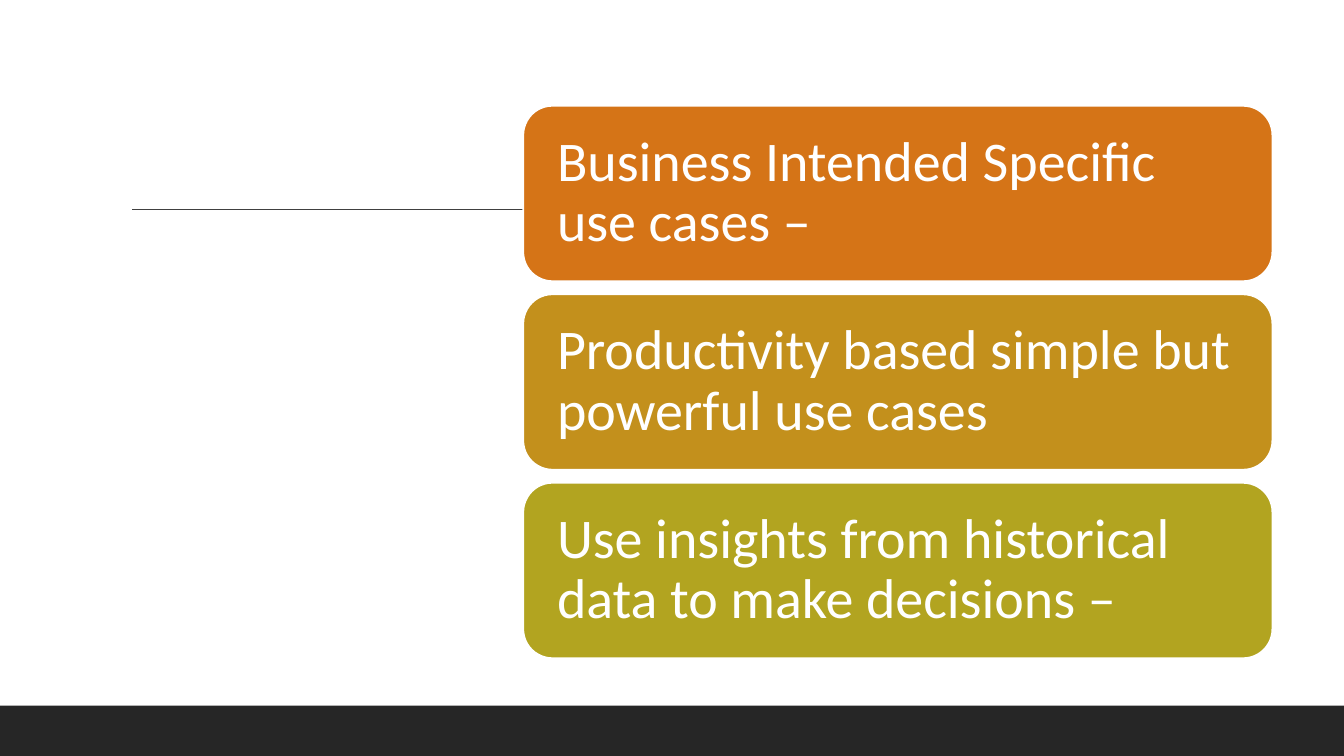
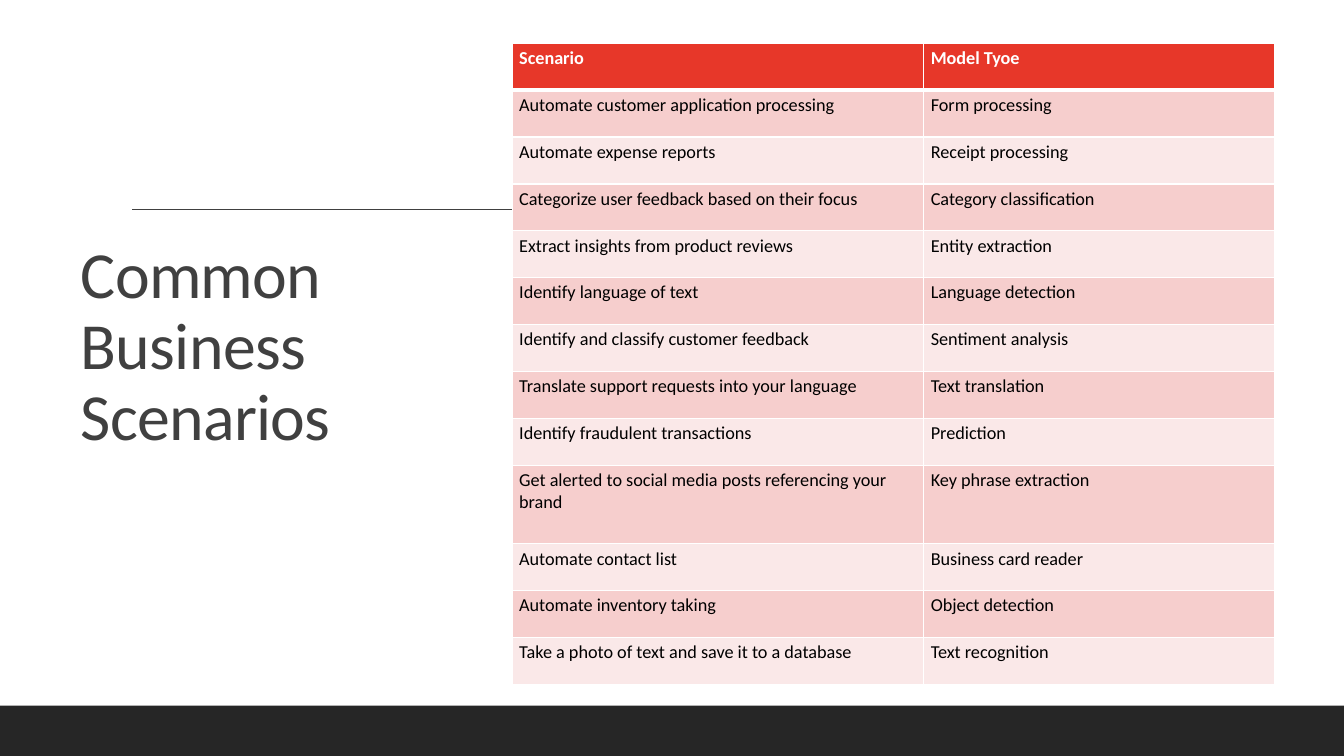
from lxml.etree import SubElement as Sub
from pptx import Presentation
from pptx.dml.color import RGBColor as RGB
from pptx.enum.shapes import MSO_CONNECTOR as Conn, MSO_SHAPE as Form
from pptx.enum.text import MSO_ANCHOR as Anchor, MSO_AUTO_SIZE as Auto, PP_ALIGN as Align
from pptx.oxml.ns import qn
from pptx.util import Inches, Pt

WIDE, HIGH = 13.33, 7.5
FONT = "Calibri"
WHITE = RGB(0xFF, 0xFF, 0xFF)
BLACK = RGB(0x00, 0x00, 0x00)
DARK = RGB(0x26, 0x26, 0x26)
GREY = RGB(0x40, 0x40, 0x40)
RED = RGB(0xE7, 0x37, 0x29)
ROSE = RGB(0xF6, 0xCE, 0xCD)
PALE = RGB(0xFA, 0xE8, 0xE8)
ORANGE = RGB(0xD5, 0x74, 0x17)
GOLD = RGB(0xC3, 0x90, 0x1C)
OLIVE = RGB(0xB2, 0xA4, 0x20)

CARDS = [
    ("Business Intended Specific use cases –", ORANGE),
    ("Productivity based simple but powerful use cases", GOLD),
    ("Use insights from historical data to make decisions –", OLIVE),
]
ROWS = [
    ("Scenario", "Model Tyoe"),
    ("Automate customer application processing", "Form processing"),
    ("Automate expense reports", "Receipt processing"),
    ("Categorize user feedback based on their focus", "Category classification"),
    ("Extract insights from product reviews", "Entity extraction"),
    ("Identify language of text", "Language detection"),
    ("Identify and classify customer feedback", "Sentiment analysis"),
    ("Translate support requests into your language", "Text translation"),
    ("Identify fraudulent transactions", "Prediction"),
    ("Get alerted to social media posts referencing your brand", "Key phrase extraction"),
    ("Automate contact list", "Business card reader"),
    ("Automate inventory taking", "Object detection"),
    ("Take a photo of text and save it to a database", "Text recognition"),
]
TALL_ROW, TALL = 9, 0.78


def write(frame, text, size, color, bold=False, space=None):
    frame.word_wrap = True
    frame.text = text
    para = frame.paragraphs[0]
    para.alignment = Align.LEFT
    para.line_spacing = space
    font = para.font
    font.name, font.size, font.bold = FONT, Pt(size), bold
    font.color.rgb = color


def pad(item, side, top):
    item.margin_left = item.margin_right = Inches(side)
    item.margin_top = item.margin_bottom = Inches(top)


def block(slide, form, box, fill):
    shape = slide.shapes.add_shape(form, *map(Inches, box))
    shape.shadow.inherit = False
    shape.fill.solid()
    shape.fill.fore_color.rgb = fill
    shape.line.fill.background()
    return shape


def start(deck, layout):
    slide = deck.slides.add_slide(deck.slide_layouts.get_by_name(layout))
    band = HIGH / 15
    block(slide, Form.RECTANGLE, (0, HIGH - band, WIDE, band), DARK)
    ends = map(Inches, (1.31, 2.08, 12.21, 2.08))
    rule = slide.shapes.add_connector(Conn.STRAIGHT, *ends)
    rule.line.color.rgb = GREY
    rule.line.width = Pt(1)
    Sub(rule._element.spPr, qn("a:effectLst"))
    return slide


def stack(slide, cards, box, gap=0.13):
    left, top, width, height = box
    tall = (height - gap * (len(cards) - 1)) / len(cards)
    for i, (text, fill) in enumerate(cards):
        spot = left, top + i * (tall + gap), width, tall
        card = block(slide, Form.ROUNDED_RECTANGLE, spot, fill)
        card.line.color.rgb = WHITE
        card.line.width = Pt(1.25)
        frame = card.text_frame
        frame.vertical_anchor = Anchor.MIDDLE
        pad(frame, 0.25, 0.25)
        write(frame, text, 40, WHITE, space=0.9)


def head(slide, text, box):
    title = slide.shapes.title
    title.left, title.top, title.width, title.height = map(Inches, box)
    frame = title.text_frame
    frame.auto_size = Auto.NONE
    frame.vertical_anchor = Anchor.MIDDLE
    write(frame, text, 47, GREY, space=0.9)
    frame.paragraphs[0].runs[0]._r.get_or_add_rPr().set("spc", "-50")


def edge(cell, first, second):
    for side in "LRTB":
        thick = (side == "B" and first) or (side == "T" and second)
        line = Sub(cell._tc.get_or_add_tcPr(), qn("a:ln" + side), w=str(Pt(3 if thick else 1)))
        Sub(Sub(line, qn("a:solidFill")), qn("a:srgbClr"), val=str(WHITE))


def grid(slide, rows, box, share=0.54):
    left, top, width, height = box
    table = slide.shapes.add_table(len(rows), 2, *map(Inches, box)).table
    for col, part in zip(table.columns, (share, 1 - share)):
        col.width = Inches(width * part)
    step = (height - TALL) / (len(rows) - 1)
    for i, row in enumerate(rows):
        table.rows[i].height = Inches(TALL if i == TALL_ROW else step)
        fill = RED if i == 0 else (PALE, ROSE)[i % 2]
        for j, text in enumerate(row):
            cell = table.cell(i, j)
            edge(cell, i == 0, i == 1)
            cell.fill.solid()
            cell.fill.fore_color.rgb = fill
            pad(cell, 0.07, 0.04)
            write(cell.text_frame, text, 13, BLACK if i else WHITE, bold=i == 0)


def main():
    deck = Presentation()
    deck.slide_width, deck.slide_height = Inches(WIDE), Inches(HIGH)
    stack(start(deck, "Blank"), CARDS, (5.19, 1.05, 7.43, 5.48))
    slide = start(deck, "Title Only")
    head(slide, "Common Business Scenarios", (0.7, 0.69, 3.69, 5.53))
    grid(slide, ROWS, (5.08, 0.43, 7.56, 6.36))
    deck.save("out.pptx")


if __name__ == "__main__":
    main()
